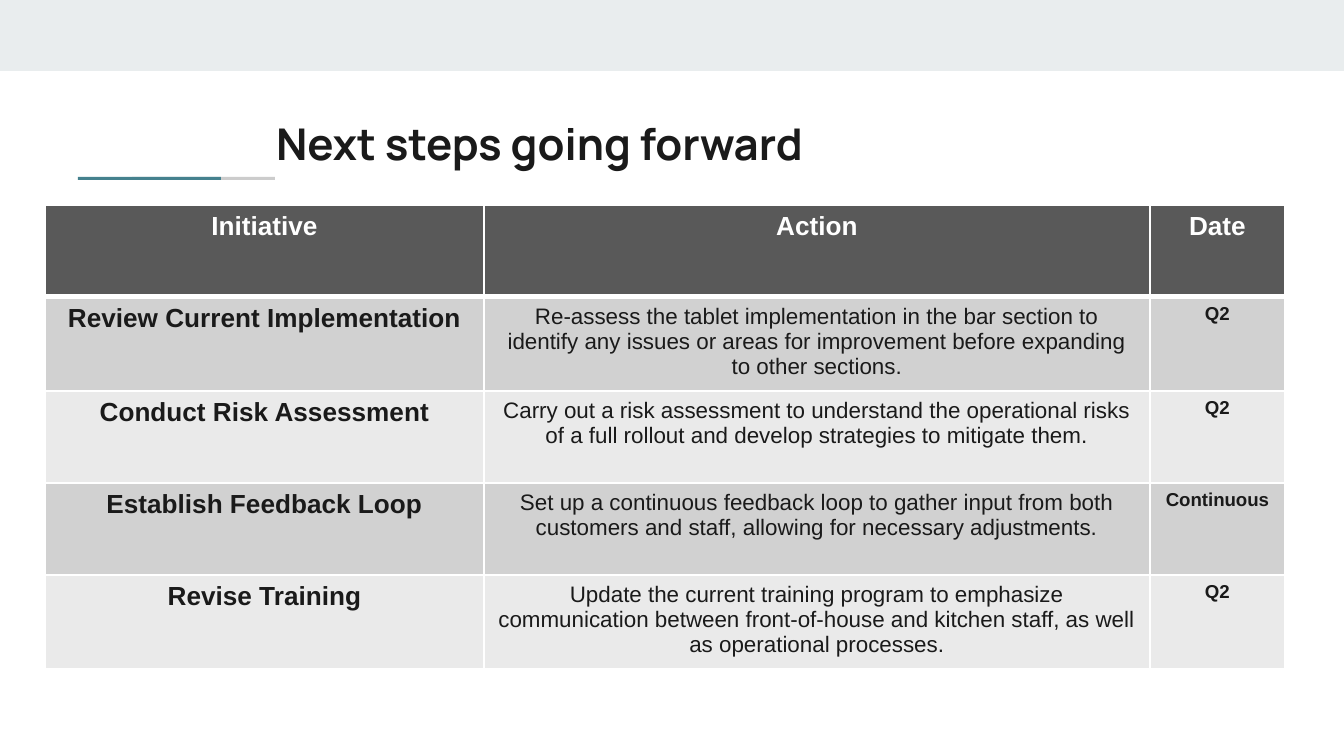
from typing import NamedTuple

import lxml.etree
import pptx
import pptx.dml.color
import pptx.enum.shapes
import pptx.enum.text
import pptx.oxml.ns
import pptx.util

SCALE = 914400 / 134.4
INK = "1A1A1A"
WHITE = "FFFFFF"


class Bar(NamedTuple):
    """A plain filled band, in px."""
    left: int
    top: int
    width: int
    height: int
    fill: str


class Style(NamedTuple):
    """The look of a run of text."""
    size: float
    bold: bool
    color: str = INK
    font: str = "Arial"


BARS = [
    Bar(0, 0, 1344, 71, "E9EDEE"),
    Bar(132, 177, 143, 3, "CCCCCC"),
    Bar(78, 177, 143, 3, "45818E"),
]
COLS = [439, 666, 135]
ROW = 92
HEAD = Style(14, True, WHITE)
BODY = [Style(14, True), Style(12, False), Style(10, True)]
STEPS = [
    ("Initiative", "Action", "Date"),
    ("Review Current Implementation",
     "Re-assess the tablet implementation in the bar section to identify any "
     "issues or areas for improvement before expanding to other sections.", "Q2"),
    ("Conduct Risk Assessment",
     "Carry out a risk assessment to understand the operational risks of a "
     "full rollout and develop strategies to mitigate them.", "Q2"),
    ("Establish Feedback Loop",
     "Set up a continuous feedback loop to gather input from both customers "
     "and staff, allowing for necessary adjustments.", "Continuous"),
    ("Revise Training",
     "Update the current training program to emphasize communication between "
     "front-of-house and kitchen staff, as well as operational processes.", "Q2"),
]


def px(count: int) -> pptx.util.Emu:
    """Turn px into EMU."""
    return pptx.util.Emu(round(count * SCALE))


def paint(fill, color: str) -> None:
    """Make a fill solid in a hex colour."""
    fill.solid()
    fill.fore_color.rgb = pptx.dml.color.RGBColor.from_string(color)


def write(para, text: str, style: Style) -> None:
    """Add one styled run to a paragraph."""
    run = para.add_run()
    run.text = text
    run.font.name = style.font
    run.font.size = pptx.util.Pt(style.size)
    run.font.bold = style.bold
    paint(run.font.fill, style.color)


def draw_bar(slide, bar: Bar) -> None:
    """Draw a band with no outline."""
    kind = pptx.enum.shapes.MSO_SHAPE.RECTANGLE
    shape = slide.shapes.add_shape(kind, *map(px, bar[:4]))
    shape.shadow.inherit = False
    shape.line.fill.background()
    paint(shape.fill, bar.fill)


def draw_title(slide, text: str) -> None:
    """Draw the slide title."""
    box = slide.shapes.add_textbox(px(263), px(103), px(1130), px(79))
    frame = box.text_frame
    frame.word_wrap = True
    frame.margin_left = frame.margin_right = pptx.util.Inches(0.1)
    frame.margin_top = frame.margin_bottom = pptx.util.Inches(0.1)
    write(frame.paragraphs[0], text, Style(23.4, True, font="Manrope"))


def edge(cell, side: str, width: int) -> None:
    """Add a white border to one side of a cell."""
    name = pptx.oxml.ns.qn
    props = cell._tc.get_or_add_tcPr()
    line = lxml.etree.SubElement(props, name(f"a:ln{side}"), w=str(pptx.util.Pt(width)))
    solid = lxml.etree.SubElement(line, name("a:solidFill"))
    lxml.etree.SubElement(solid, name("a:srgbClr"), val=WHITE)


def draw_cell(cell, text: str, row: int, col: int) -> None:
    """Fill in one cell of the table."""
    thick = {(0, "B"), (1, "T")}
    for side in "LRTB":
        edge(cell, side, 3 if (row, side) in thick else 1)
    shade = "D1D1D1" if row % 2 else "EAEAEA"
    paint(cell.fill, shade if row else "595959")
    para = cell.text_frame.paragraphs[0]
    para.alignment = pptx.enum.text.PP_ALIGN.CENTER
    write(para, text, BODY[col] if row else HEAD)


def draw_table(slide) -> None:
    """Draw the table of next steps."""
    size = px(sum(COLS)), px(ROW * len(STEPS))
    table = slide.shapes.add_table(len(STEPS), len(COLS), px(45), px(205), *size).table
    for col, width in enumerate(COLS):
        table.columns[col].width = px(width)
    for row, step in enumerate(STEPS):
        table.rows[row].height = px(ROW)
        for col, text in enumerate(step):
            draw_cell(table.cell(row, col), text, row, col)


def main() -> None:
    """Build and save the slide."""
    deck = pptx.Presentation()
    deck.slide_width, deck.slide_height = px(1344), px(756)
    slide = deck.slides.add_slide(deck.slide_layouts[6])
    paint(slide.background.fill, WHITE)
    for bar in BARS:
        draw_bar(slide, bar)
    draw_title(slide, "Next steps going forward")
    draw_table(slide)
    deck.save("out.pptx")


if __name__ == "__main__":
    main()
